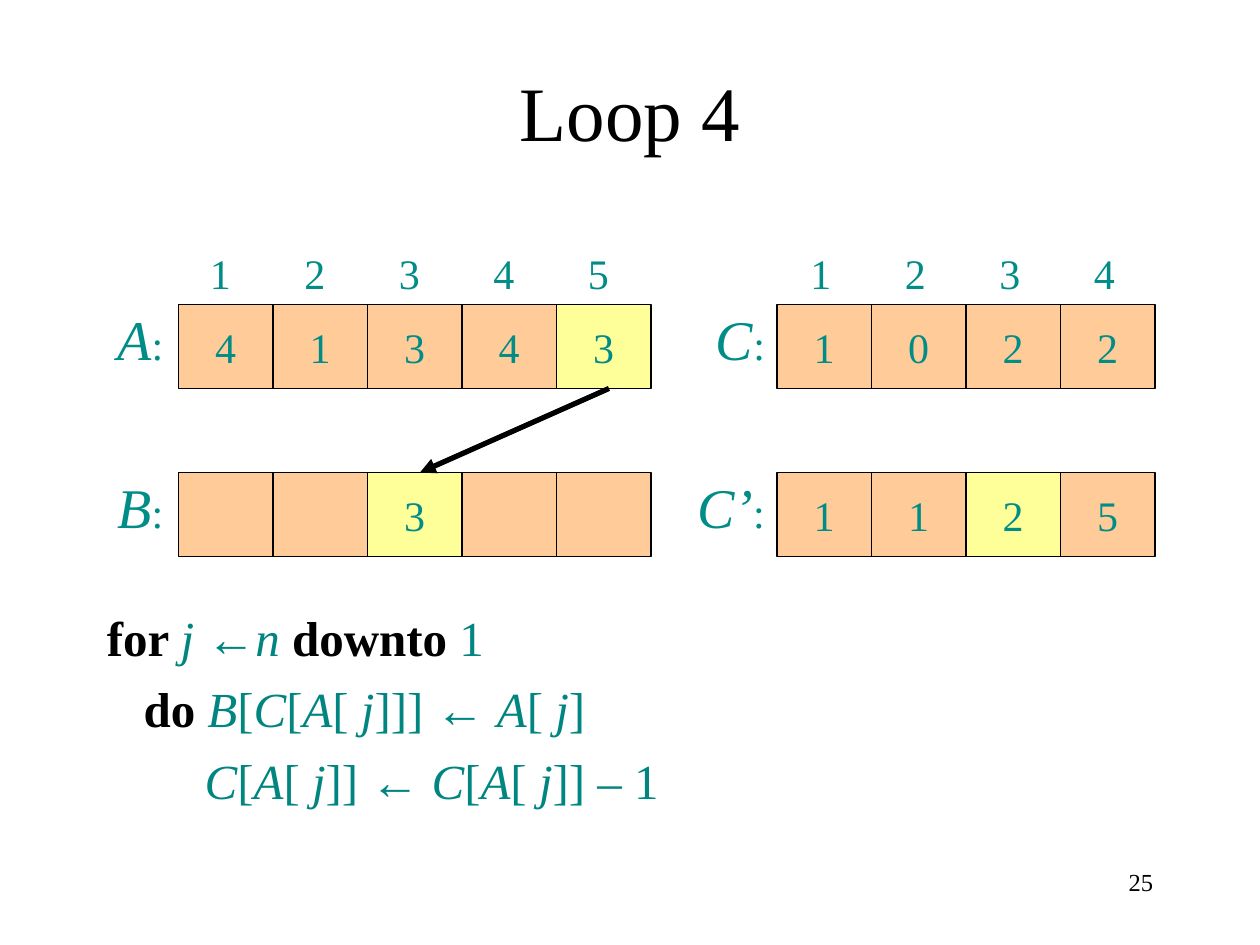
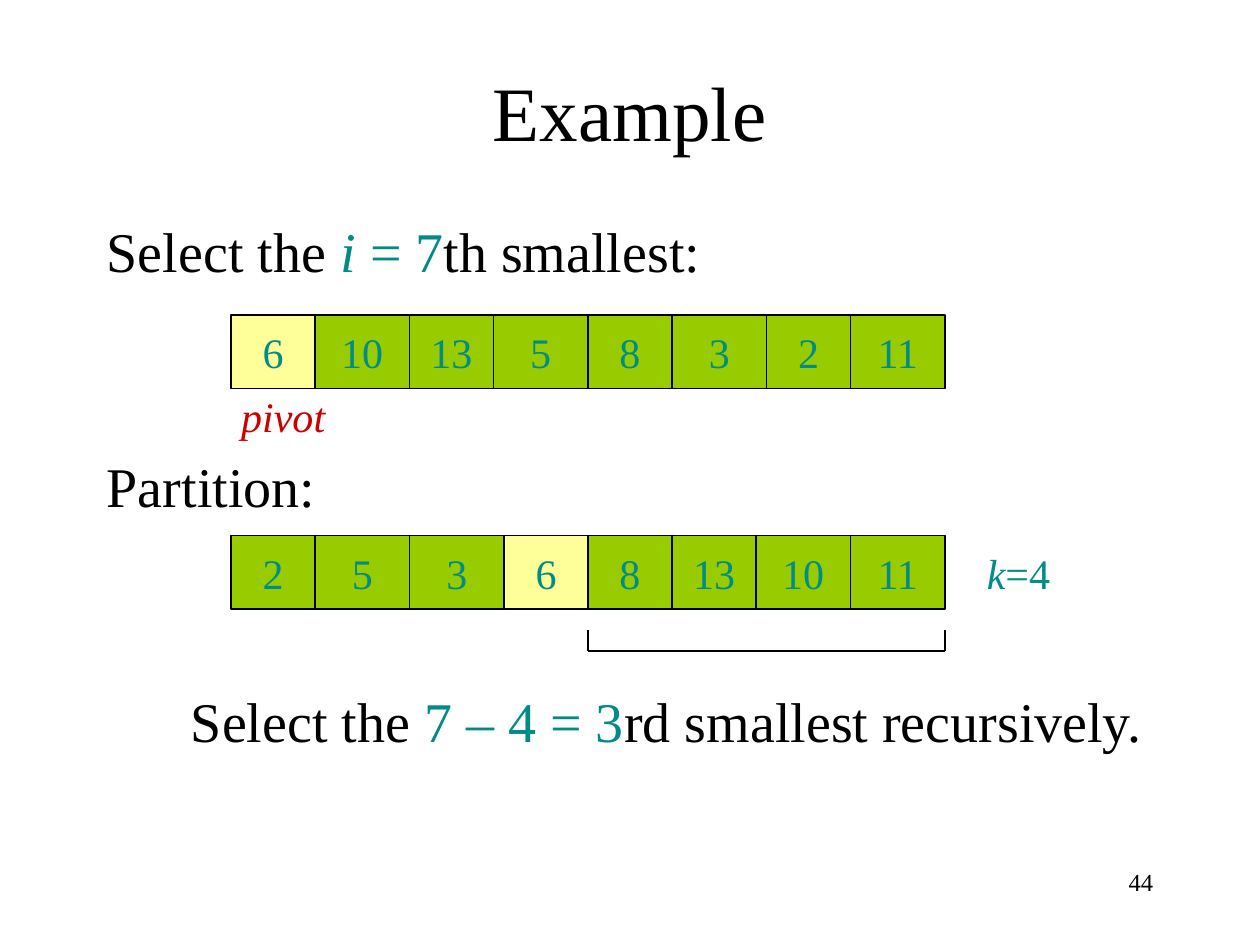
from dataclasses import dataclass
from itertools import accumulate, groupby

from lxml import etree
from pptx import Presentation
from pptx import util as u
from pptx.dml.color import RGBColor
from pptx.enum import shapes, text
from pptx.oxml import ns

COLS, ROWS = 120, 90
WIDE, HIGH = u.Inches(10), u.Inches(7.5)
LEFT, CENTER, RIGHT = text.PP_ALIGN.LEFT, text.PP_ALIGN.CENTER, text.PP_ALIGN.RIGHT
TOP, MID = text.MSO_ANCHOR.TOP, text.MSO_ANCHOR.MIDDLE


@dataclass(frozen=True)
class Theme:
    serif: str = "Times New Roman"
    sans: str = "Arial"
    ink: str = "000000"
    teal: str = "008C87"
    math: str = "008B88"
    code: str = "008581"
    red: str = "CD0000"
    peach: str = "FFCC99"
    green: str = "99CC00"
    mark: str = "FFFF99"
    title: int = 44
    body: int = 32
    step: int = 28
    cell: int = 24
    foot: int = 14
    thin: float = 0.75
    thick: float = 3


T = Theme()


@dataclass(frozen=True)
class Run:
    """A piece of text; empty fields take the format of its box."""
    text: str
    color: str = ""
    size: int = 0
    font: str = ""
    bold: bool = False
    ital: bool = False


@dataclass(frozen=True)
class Box:
    left: float
    top: float
    wide: float
    high: float


@dataclass(frozen=True)
class Strip:
    """A row of array cells; mark is the index of the lit cell, -1 for none."""
    left: float
    top: float
    high: float
    widths: list[int]
    vals: list[str]
    fill: str
    mark: int = -1


def across(cols: float) -> int:
    return round(WIDE * cols / COLS)


def down(rows: float) -> int:
    return round(HIGH * rows / ROWS)


def place(box: Box) -> tuple[int, int, int, int]:
    return across(box.left), down(box.top), across(box.wide), down(box.high)


def write(frame, lines, *, size=T.cell, color=T.ink, align=LEFT, anchor=TOP,
          gap=0, wrap=True, ital=False, tabs=()):
    """Fill a text frame with lines, each a string or a list of runs."""
    frame.word_wrap = wrap
    frame.vertical_anchor = anchor
    for num, line in enumerate(lines):
        para = frame.paragraphs[0] if num == 0 else frame.add_paragraph()
        if tabs:
            stops = etree.SubElement(para._p.get_or_add_pPr(), ns.qn("a:tabLst"))
            for col in tabs:
                etree.SubElement(stops, ns.qn("a:tab"), pos=str(across(col)), algn="l")
        para.alignment = align
        if num and gap:
            para.space_before = u.Pt(gap)
        for part in [Run(line, ital=ital)] if isinstance(line, str) else line:
            run = para.add_run()
            run.text = part.text
            font = run.font
            font.name = part.font or T.serif
            font.size = u.Pt(part.size or size)
            font.bold, font.italic = part.bold, part.ital
            font.color.rgb = RGBColor.from_string(part.color or color)


def label(slide, box: Box, *lines, **form) -> None:
    write(slide.shapes.add_textbox(*place(box)).text_frame, lines, **form)


def line(slide, start: tuple, end: tuple, *, width=T.thin, head=False) -> None:
    link = slide.shapes.add_connector(
        shapes.MSO_CONNECTOR.STRAIGHT,
        across(start[0]), down(start[1]), across(end[0]), down(end[1]))
    link.line.color.rgb = RGBColor.from_string(T.ink)
    link.line.width = u.Pt(width)
    if head:
        etree.SubElement(link.line._get_or_add_ln(), ns.qn("a:tailEnd"), type="triangle")
    etree.SubElement(link._element.spPr, ns.qn("a:effectLst"))


def draw(slide, strip: Strip) -> None:
    lefts = accumulate(strip.widths, initial=strip.left)
    for num, (left, wide, val) in enumerate(zip(lefts, strip.widths, strip.vals)):
        box = Box(left, strip.top, wide, strip.high)
        cell = slide.shapes.add_shape(shapes.MSO_SHAPE.RECTANGLE, *place(box))
        cell.shadow.inherit = False
        cell.fill.solid()
        cell.fill.fore_color.rgb = RGBColor.from_string(
            T.mark if num == strip.mark else strip.fill)
        cell.line.color.rgb = RGBColor.from_string(T.ink)
        cell.line.width = u.Pt(T.thin)
        if val:
            write(cell.text_frame, [val], color=T.teal, align=CENTER,
                  anchor=MID, wrap=False)


def code(expr: str) -> list[Run]:
    """Set letters in italics and arrows in the sans font."""
    def kind(char: str) -> tuple[bool, bool]:
        return char.isalpha(), char == "←"

    return [Run("".join(chars), T.code, ital=alpha, font=T.sans if arrow else "")
            for (alpha, arrow), chars in groupby(expr, kind)]


def page(deck, title: str, num: int):
    slide = deck.slides.add_slide(deck.slide_layouts[6])
    label(slide, Box(9, 3, 102, 15), title, size=T.title, align=CENTER, anchor=MID)
    label(slide, Box(86, 82, 25, 6), str(num), size=T.foot, align=RIGHT)
    return slide


def loop(deck) -> None:
    slide = page(deck, "Loop 4", 25)
    pitch, high, upper, lower = 9, 8, 29, 45
    names = [("A", 10, upper), ("B", 10, lower), ("C", 67, upper), ("C’", 65.2, lower)]
    rows = [(17, upper, "41343", 4), (17, lower, ["", "", "3", "", ""], 2),
            (74, upper, "1022", -1), (74, lower, "1125", 2)]
    for left, top, vals, mark in rows:
        draw(slide, Strip(left, top, high, [pitch] * len(vals), list(vals), T.peach, mark))
    for name, left, top in names:
        label(slide, Box(left, top - 0.6, 9, 7.5),
              [Run(name, size=T.body, ital=True), Run(":")], color=T.teal)
    for left, count in [(18.8, 5), (76, 4)]:
        label(slide, Box(left, 23, pitch * count, 6),
              "\t".join(str(n + 1) for n in range(count)), color=T.teal,
              tabs=[pitch * n for n in range(1, count)])
    line(slide, (58, upper + high), (40, lower), width=T.thick, head=True)
    label(slide, Box(9, 57.3, 102, 22),
          [Run("for ", bold=True), *code("j ←n "), Run("downto ", bold=True), *code("1")],
          [Run("   do ", bold=True), *code("B[C[A[ j]]] ← A[ j]")],
          code("        C[A[ j]] ← C[A[ j]] – 1"),
          size=T.step, gap=7)


def pick(deck) -> None:
    slide = page(deck, "Example", 44)
    texts = [
        (9, [Run("Select the "), Run("i ", T.math, ital=True), Run("= 7", T.math),
             Run("th smallest:")]),
        (9, [Run("Partition:")]),
        (17, [Run("Select the "), Run("7 – 4 = 3", T.math),
              Run("rd smallest recursively.")]),
    ]
    for num, (left, runs) in enumerate(texts):
        label(slide, Box(left, 20 + 22.4 * num, 111 - left, 7.5), runs, size=T.body)
    draw(slide, Strip(22, 30, 7, [8, 9] * 4,
                      ["6", "10", "13", "5", "8", "3", "2", "11"], T.green, 0))
    draw(slide, Strip(22, 51, 7, [8, 9, 9, 8, 8, 8, 9, 9],
                      ["2", "5", "3", "6", "8", "13", "10", "11"], T.green, 3))
    label(slide, Box(21.8, 36.6, 11, 6), "pivot", color=T.red, ital=True)
    label(slide, Box(92.8, 51.6, 9, 6), [Run("k", ital=True), Run("=4")], color=T.teal)
    near, far, base = 56, 90, 62
    line(slide, (near, base), (far, base))
    for col in (near, far):
        line(slide, (col, base), (col, base - 2))


def main() -> None:
    deck = Presentation()
    deck.slide_width, deck.slide_height = WIDE, HIGH
    loop(deck)
    pick(deck)
    deck.save("out.pptx")


if __name__ == "__main__":
    main()
